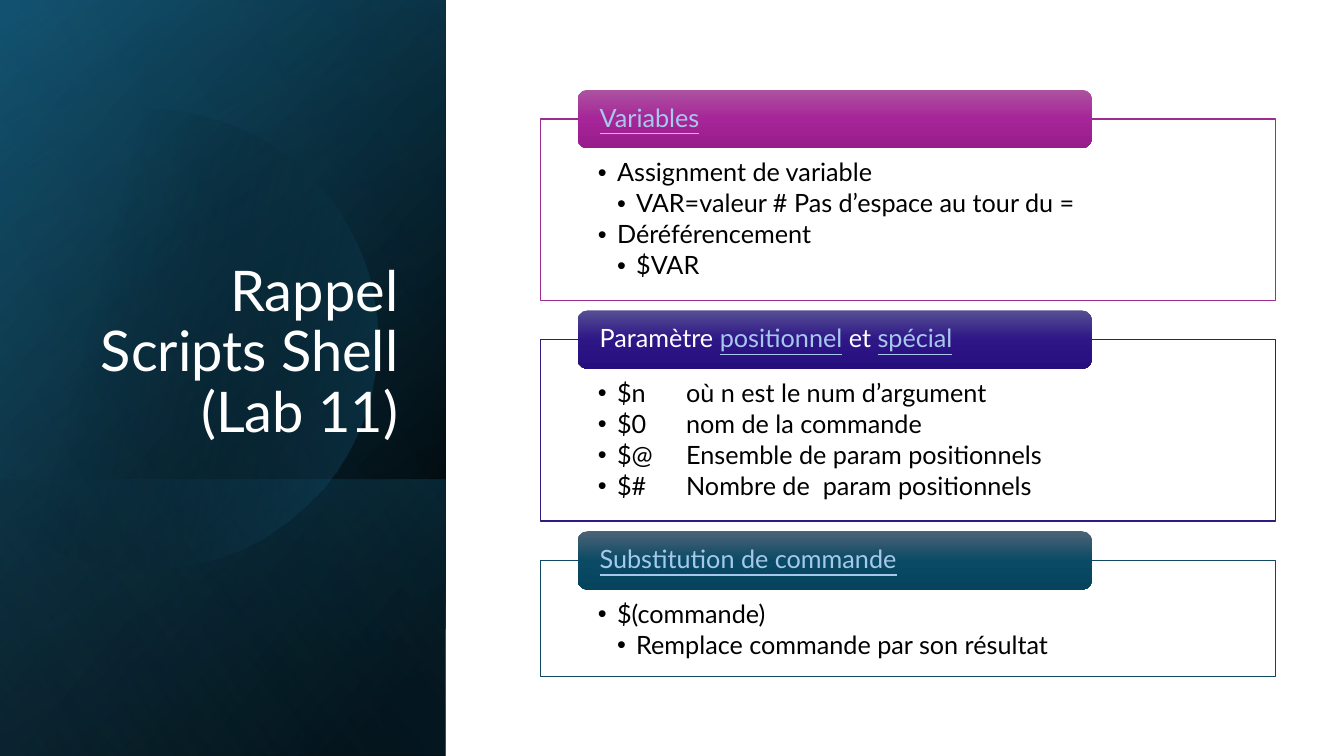
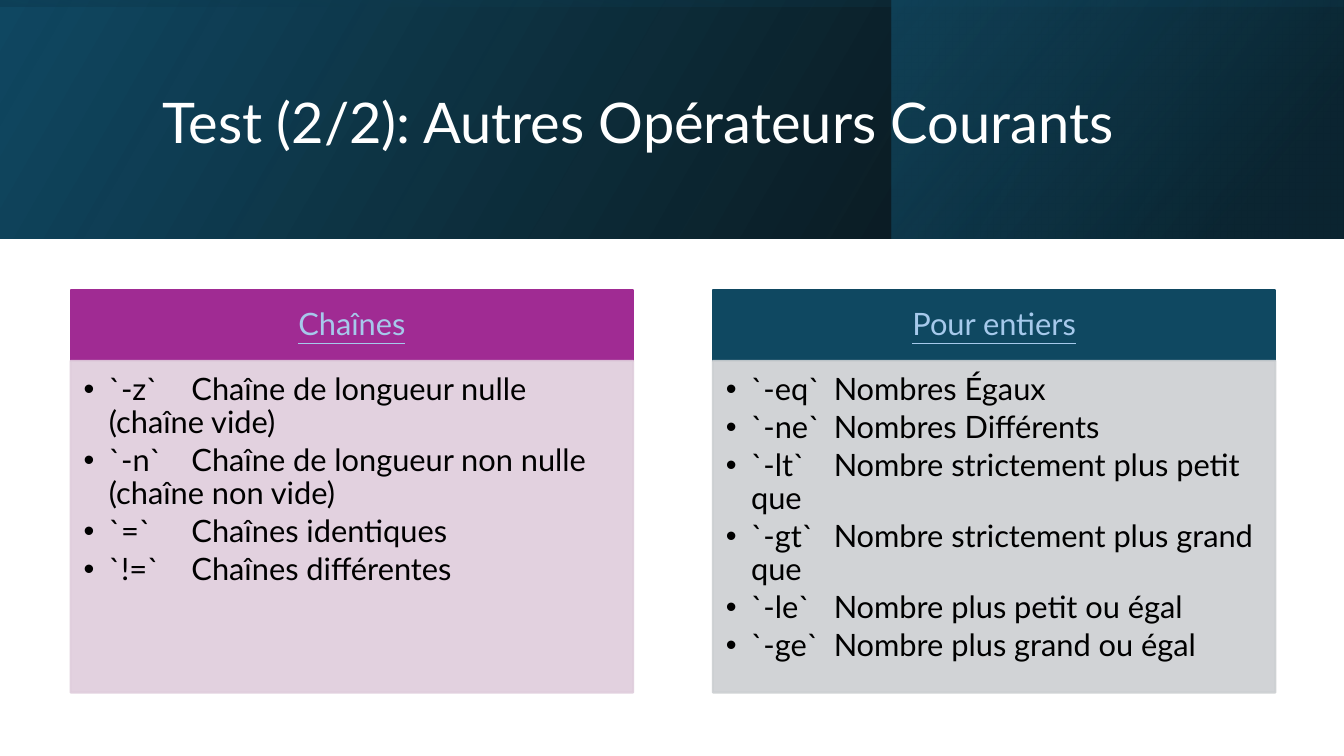
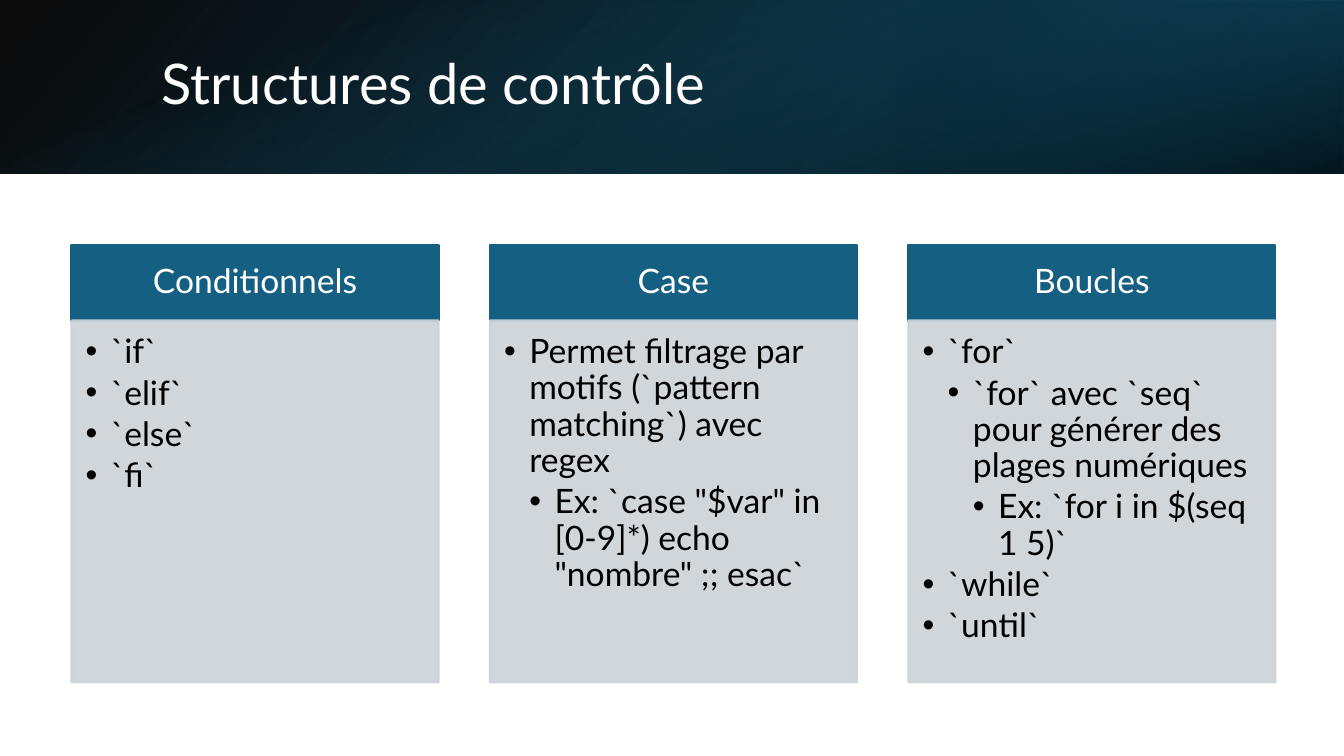
from math import acos, cos, sin

from lxml.etree import SubElement
from pptx import Presentation
from pptx.dml.color import RGBColor
from pptx.enum.shapes import MSO_SHAPE
from pptx.enum.text import MSO_ANCHOR, MSO_AUTO_SIZE, PP_ALIGN
from pptx.oxml.ns import qn
from pptx.util import Emu, Pt

PX_EMU = 9144
SLIDE_W, SLIDE_H = 1333, 750
FONT = "Lato"
BLACK, WHITE, LINK = "000000", "FFFFFF", "A6C9EB"
NAVY, TEAL, DEEP, SKY = "104862", "156082", "0B3041", "46B1E1"
PURPLE, INDIGO, PETROL = "A02B93", "311B82", "0F4861"
PALE_PURPLE, PALE_PETROL, PALE_TEAL = "DFCDDC", "CCCFD2", "CCD2D8"


def px(length):
    return Emu(round(length) * PX_EMU)


def rgb(color):
    return RGBColor.from_string(color)


def add_box(slide, box, fill, line=None, line_pt=1.5, alpha=None, kind=MSO_SHAPE.RECTANGLE):
    """Add a flat preset shape; alpha is a percentage for both fill and line."""
    shape = slide.shapes.add_shape(kind, *map(px, box))
    shape.shadow.inherit = False
    shape.fill.solid()
    shape.fill.fore_color.rgb = rgb(fill)
    if line:
        shape.line.color.rgb = rgb(line)
        shape.line.width = Pt(line_pt)
    else:
        shape.line.fill.background()
    if alpha is not None:
        for color in shape.element.spPr.iter(qn("a:srgbClr")):
            SubElement(color, qn("a:alpha"), val=str(alpha * 1000))
    return shape


def set_gradient(shape, stops, angle):
    """Fill with (position %, colour, alpha %) stops along a clockwise angle."""
    shape.fill.background()
    gradient = shape.element.spPr.find(qn("a:noFill"))
    gradient.tag = qn("a:gradFill")
    gradient.set("rotWithShape", "1")
    stop_list = SubElement(gradient, qn("a:gsLst"))
    for position, color, alpha in stops:
        stop = SubElement(stop_list, qn("a:gs"), pos=str(position * 1000))
        swatch = SubElement(stop, qn("a:srgbClr"), val=color)
        if alpha < 100:
            SubElement(swatch, qn("a:alpha"), val=str(alpha * 1000))
    SubElement(gradient, qn("a:lin"), ang=str(angle * 60000), scaled="0")


def add_band(slide, box, stops, angle, turn=0, flip=True):
    """Add a gradient band that covers box after being turned about its centre."""
    left, top, width, height = box
    if turn % 180:
        left, top = left + (width - height) / 2, top + (height - width) / 2
        width, height = height, width
    band = add_box(slide, (left, top, width, height), BLACK)
    set_gradient(band, stops, angle)
    band.rotation = turn
    if flip:
        band.element.spPr.xfrm.set("flipH", "1")


def add_disc(slide, center_x, center_y, radius, stops, angle):
    """Add a gradient disc cut off by the left edge of the slide."""
    reach, steps = acos(-center_x / radius), 90
    angles = [reach * (2 * step / steps - 1) for step in range(steps + 1)]
    points = [(px(center_x + radius * cos(a)), px(center_y + radius * sin(a))) for a in angles]
    outline = slide.shapes.build_freeform(*points[0])
    outline.add_line_segments(points[1:], close=True)
    disc = outline.convert_to_shape()
    disc.shadow.inherit = False
    disc.line.fill.background()
    set_gradient(disc, stops, angle)


def set_frame(shape, anchor, insets=None):
    frame = shape.text_frame
    frame.word_wrap = True
    frame.auto_size = MSO_AUTO_SIZE.NONE
    frame.vertical_anchor = anchor
    if insets:
        (frame.margin_left, frame.margin_top,
         frame.margin_right, frame.margin_bottom) = map(px, insets)
    return frame


def add_run(paragraph, text, size, color, underline=None):
    run = paragraph.add_run()
    run.text = text
    run.font.name = FONT
    run.font.size = Pt(size)
    run.font.color.rgb = rgb(color)
    run.font.underline = underline


def set_title(slide, text, box, anchor=MSO_ANCHOR.MIDDLE, align=PP_ALIGN.LEFT):
    """Format the title placeholder and bring it in front of the bands."""
    title = slide.shapes.title
    title.left, title.top, title.width, title.height = map(px, box)
    paragraph = set_frame(title, anchor).paragraphs[0]
    paragraph.alignment = align
    paragraph.line_spacing = 0.9
    add_run(paragraph, text, 40, WHITE)
    title.element.getparent().append(title.element)


def write_heading(shape, parts, size, insets, align):
    """Write (text, is_link) parts on one line."""
    paragraph = set_frame(shape, MSO_ANCHOR.MIDDLE, insets).paragraphs[0]
    paragraph.alignment = align
    paragraph.line_spacing = 0.9
    for text, is_link in parts:
        add_run(paragraph, text, size, LINK if is_link else WHITE, is_link or None)


def write_bullets(shape, items, size, indent, insets):
    """Write (level, text) items, indented by one step per level."""
    frame = set_frame(shape, MSO_ANCHOR.TOP, insets)
    for index, (level, text) in enumerate(items):
        paragraph = frame.add_paragraph() if index else frame.paragraphs[0]
        properties = paragraph._p.get_or_add_pPr()
        properties.set("marL", str(px(indent * level)))
        properties.set("indent", str(px(-indent)))
        properties.set("defTabSz", str(44450 * size))
        SubElement(properties, qn("a:buFont"), typeface="Arial")
        SubElement(properties, qn("a:buChar"), char="•")
        paragraph.level = level - 1
        paragraph.alignment = PP_ALIGN.LEFT
        paragraph.line_spacing = 0.9
        paragraph.space_after = Pt(size * 0.15)
        add_run(paragraph, text, size, BLACK)


def add_tabbed_card(slide, box, color, tab_shades, heading, items):
    """Outlined card whose heading tab straddles its top edge."""
    left, top, width, height = box
    tab_height = 58
    body = add_box(slide, (left, top + tab_height / 2, width, height - tab_height / 2),
                   WHITE, color, 1)
    write_bullets(body, items, 18, 19, (57, 41, 57, 14))
    tab = add_box(slide, (left + 37, top, width * 0.7, tab_height), color,
                  kind=MSO_SHAPE.ROUNDED_RECTANGLE)
    set_gradient(tab, [(at, shade, 100) for at, shade in zip((0, 50, 100), tab_shades)], 90)
    write_heading(tab, heading, 18, (19, 0, 19, 0), PP_ALIGN.LEFT)


def add_column(slide, box, head_height, size, color, pale, heading, items):
    """Heading block on top of a pale list block."""
    left, top, width, height = box
    head = add_box(slide, (left, top, width, head_height), color, color)
    side, cap = size * 0.78, size * 0.46
    write_heading(head, heading, size, (side, cap, side, cap), PP_ALIGN.CENTER)
    body = add_box(slide, (left, top + head_height, width, height - head_height),
                   pale, pale, alpha=90)
    near = size * 0.59
    write_bullets(body, items, size, 25, (near, near, side, size * 0.88))


def add_columns(slide, box, gap, head_height, size, columns):
    left, top, width, height = box
    column_width = (width - gap * (len(columns) - 1)) / len(columns)
    for index, column in enumerate(columns):
        column_left = left + index * (column_width + gap)
        add_column(slide, (column_left, top, column_width, height), head_height, size, *column)


def build_recap(slide):
    panel = (0, 0, 442, SLIDE_H)
    add_band(slide, panel, [(8, BLACK, 100), (100, NAVY, 100)], 50, 90)
    add_band(slide, panel, [(0, BLACK, 0), (99, TEAL, 46)], 30, 90)
    add_band(slide, (0, 476, 442, 274), [(2, TEAL, 29), (100, BLACK, 30)], 130, 90)
    add_disc(slide, 146, 337, 228, [(29, BLACK, 0), (100, TEAL, 43)], 14)
    add_band(slide, panel, [(0, BLACK, 0), (99, SKY, 11)], 120, 90)
    set_title(slide, "Rappel Scripts Shell (Lab 11)", (64, 184, 341, 262),
              MSO_ANCHOR.BOTTOM, PP_ALIGN.RIGHT)
    cards = [
        (209, PURPLE, ("AC53A0", "A62598", "991C8B"), [("Variables", True)],
         [(1, "Assignment de variable"),
          (2, "VAR=valeur # Pas d’espace au tour du ="),
          (1, "Déréférencement"),
          (2, "$VAR")]),
        (209, INDIGO, ("554E92", "2E1687", "260F7D"),
         [("Paramètre ", False), ("positionnel", True), (" et ", False), ("spécial", True)],
         [(1, "$n \toù n est le num d’argument"),
          (1, "$0 \tnom de la commande"),
          (1, "$@ \tEnsemble de param positionnels"),
          (1, "$# \tNombre de  param positionnels")]),
        (144, PETROL, ("4C6376", "0B4A65", "06435D"), [("Substitution de commande", True)],
         [(1, "$(commande)"),
          (2, "Remplace commande par son résultat")]),
    ]
    top, gap = 89, 10
    for height, *content in cards:
        add_tabbed_card(slide, (536, top, 729, height), *content)
        top += height + gap


def build_operators(slide):
    banner = (0, 0, SLIDE_W, 237)
    add_band(slide, banner, [(0, BLACK, 96), (100, NAVY, 100)], 330)
    add_band(slide, (884, 0, 448, 237), [(19, DEEP, 68), (100, TEAL, 48)], 320)
    add_band(slide, banner, [(23, NAVY, 16), (99, BLACK, 45)], 350, 270)
    set_title(slide, "Test (2/2): Autres Opérateurs Courants", (151, 38, 1063, 172))
    add_columns(slide, (70, 288, 1195, 399), 79, 70, 22, [
        (PURPLE, PALE_PURPLE, [("Chaînes", True)],
         [(1, "`-z`\tChaîne de longueur nulle (chaîne vide)"),
          (1, "`-n`\tChaîne de longueur non nulle (chaîne non vide)"),
          (1, "`=`\tChaînes identiques"),
          (1, "`!=`\tChaînes différentes")]),
        (PETROL, PALE_PETROL, [("Pour entiers", True)],
         [(1, "`-eq`\tNombres Égaux"),
          (1, "`-ne`\tNombres Différents"),
          (1, "`-lt`\tNombre strictement plus petit que"),
          (1, "`-gt`\tNombre strictement plus grand que"),
          (1, "`-le`\tNombre plus petit ou égal"),
          (1, "`-ge`\tNombre plus grand ou égal")]),
    ])


def build_control_structures(slide):
    banner = (0, 0, SLIDE_W, 172)
    add_band(slide, banner, [(0, BLACK, 96), (100, NAVY, 100)], 140)
    add_band(slide, (889, 0, 444, 172), [(19, DEEP, 68), (100, TEAL, 79)], 320, 180)
    add_band(slide, banner, [(23, TEAL, 0), (99, BLACK, 74)], 340, 90, flip=False)
    set_title(slide, "Structures de contrôle", (150, 38, 1098, 96))
    add_columns(slide, (71, 243, 1194, 434), 51, 75, 24, [
        (TEAL, PALE_TEAL, [("Conditionnels", False)],
         [(1, "`if`"), (1, "`elif`"), (1, "`else`"), (1, "`fi`")]),
        (TEAL, PALE_TEAL, [("Case", False)],
         [(1, "Permet filtrage par motifs (`pattern matching`) avec regex"),
          (2, 'Ex: `case "$var" in [0-9]*) echo "nombre" ;; esac`')]),
        (TEAL, PALE_TEAL, [("Boucles", False)],
         [(1, "`for`"),
          (2, "`for` avec `seq` pour générer des plages numériques"),
          (3, "Ex: `for i in $(seq 1 5)`"),
          (1, "`while`"),
          (1, "`until`")]),
    ])


def main():
    deck = Presentation()
    deck.slide_width, deck.slide_height = px(SLIDE_W), px(SLIDE_H)
    title_only = deck.slide_layouts[5]
    for build in (build_recap, build_operators, build_control_structures):
        build(deck.slides.add_slide(title_only))
    deck.save("out.pptx")


if __name__ == "__main__":
    main()
